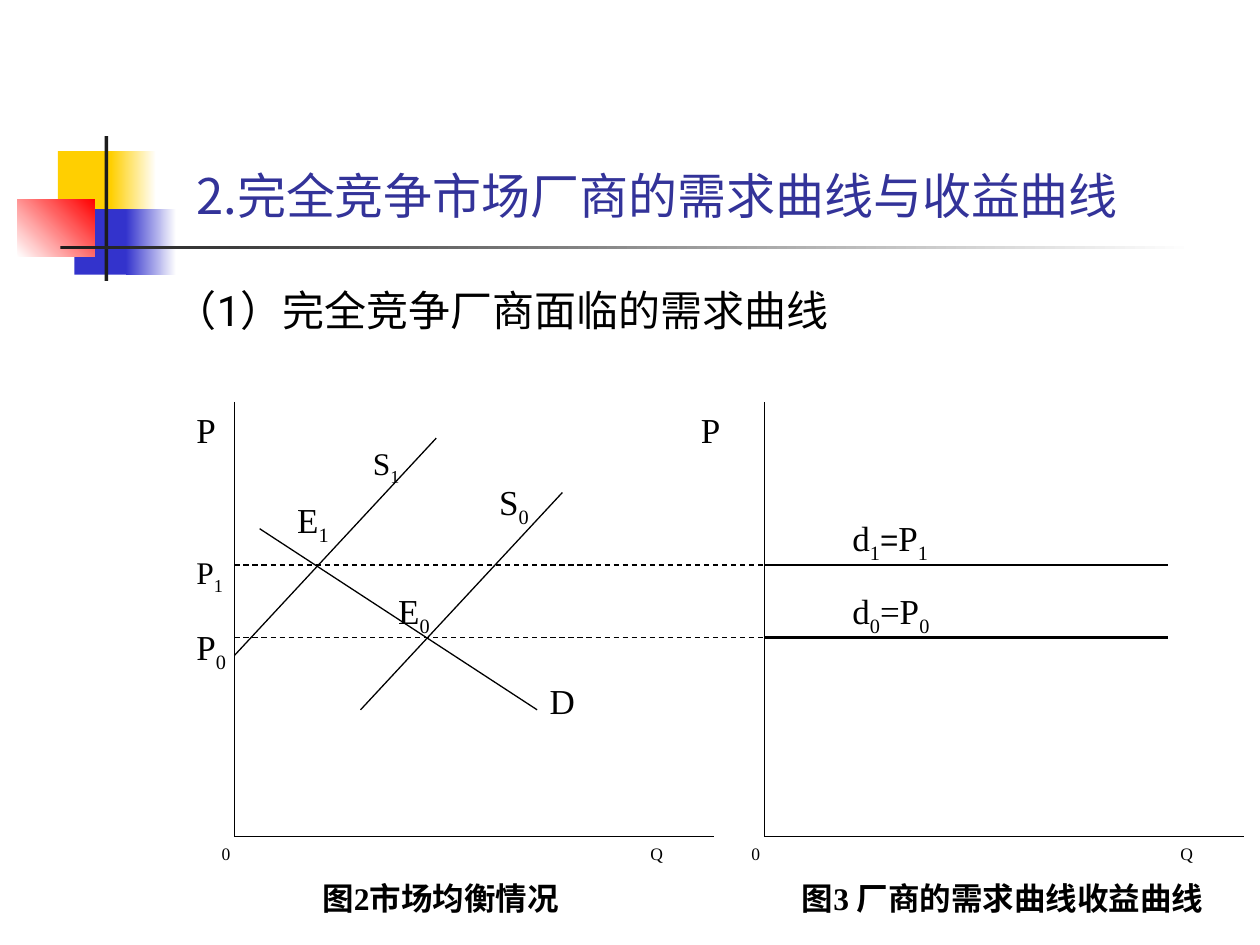
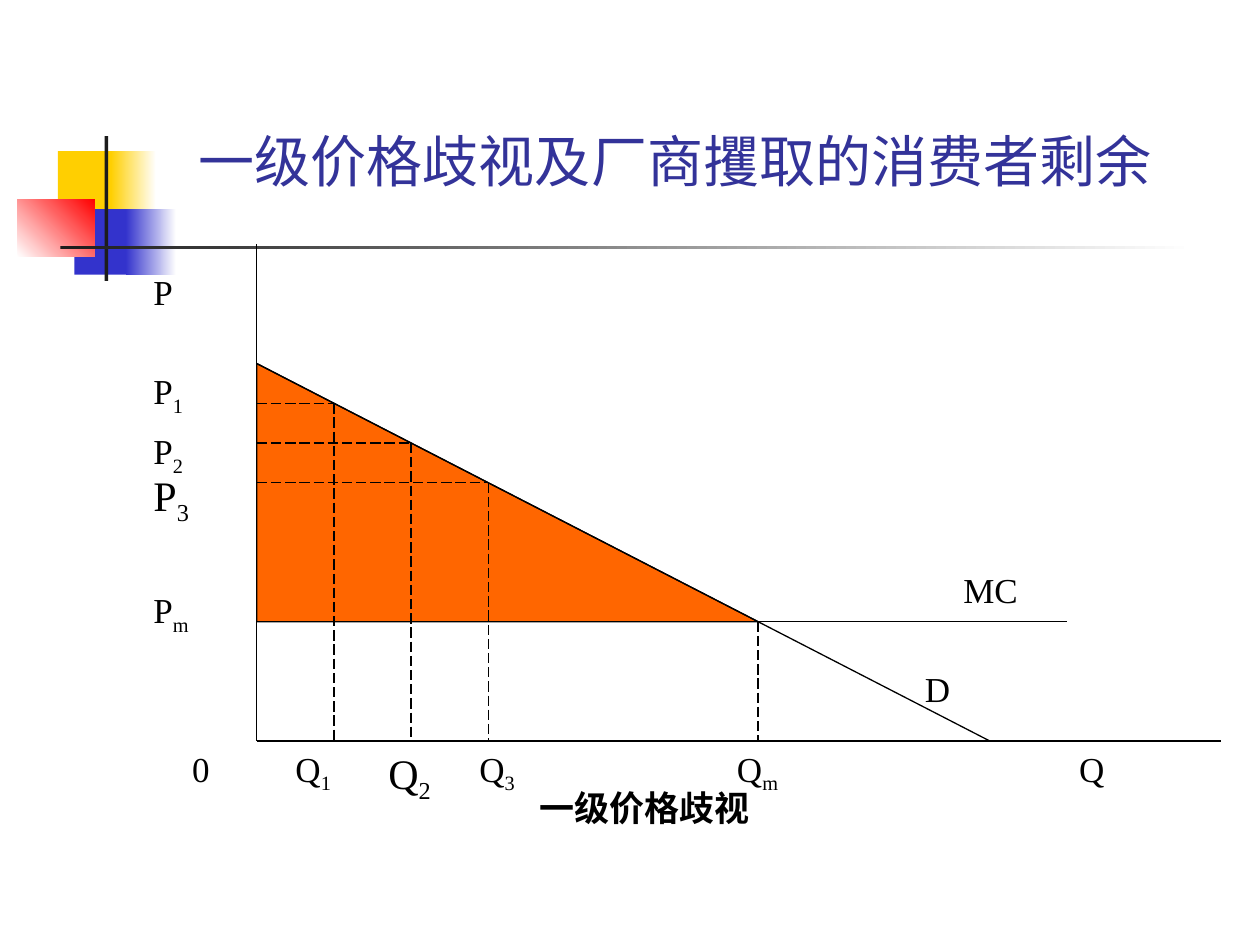
from collections import namedtuple

from lxml import etree
from pptx import Presentation
from pptx import util as u
from pptx.dml.color import RGBColor
from pptx.enum import dml, shapes, text
from pptx.oxml import ns

BLACK = RGBColor(0x00, 0x00, 0x00)
WHITE = RGBColor(0xFF, 0xFF, 0xFF)
YELLOW = RGBColor(0xFF, 0xCF, 0x01)
BLUE = RGBColor(0x33, 0x33, 0xCC)
RED = RGBColor(0xFF, 0x00, 0x00)
CHARCOAL = RGBColor(0x1C, 0x1C, 0x1C)
TITLE_BLUE = RGBColor(0x33, 0x33, 0x99)
ORANGE = RGBColor(0xFF, 0x66, 0x00)

SERIF, SANS, CJK = "Times New Roman", "Roboto", "Noto Sans CJK KR"
DASH, LONG_DASH = dml.MSO_LINE.DASH, dml.MSO_LINE.LONG_DASH

# Corner ornament: left, top, width, height, colours, gradient angle
ORNAMENT = [
    (0.46, 1.20, 0.48, 0.52, [YELLOW], 0),
    (0.88, 1.20, 0.36, 0.52, [YELLOW, WHITE], 0),
    (0.59, 1.66, 0.46, 0.52, [BLUE], 0),
    (1.00, 1.66, 0.40, 0.52, [BLUE, WHITE], 0),
    (0.14, 1.58, 0.61, 0.46, [WHITE, RED], 45),
    (0.83, 1.08, 0.03, 1.15, [CHARCOAL], 0),
    (0.48, 1.95, 9.00, 0.03, [CHARCOAL, WHITE], 0),
]

# A diagram grid: places in inches, then the number of columns and rows
Grid = namedtuple("Grid", "left top width height cols rows")

# Labels: text ("|" parts runs, "_" marks a subscript), column, row, size, columns wide
# Lines: from column, row, to column, row
MARKET = {
    "grid": Grid(1.46, 3.19, 8.41, 3.45, 42, 24),
    "axes and curves": [
        (2, 0, 2, 24), (2, 24, 21, 24), (23, 24, 42, 24), (23, 24, 23, 0),
        (3, 7, 14, 17), (7, 17, 15, 5), (2, 14, 10, 2),
    ],
    "price levels": [(2, 13, 39, 13), (2, 9, 38, 9)],
    "firm demand": [(23, 13, 39, 13), (23, 9, 39, 9)],
    "labels": [
        ("0", 1, 24, 10, 4), ("0", 22, 24, 10, 4),
        ("Q", 18, 24, 10, 4), ("Q", 39, 24, 10, 4),
        ("P", 20, 0, 20, 4), ("P", 0, 0, 20, 4),
        ("S|_0", 12, 4, 20, 4), ("S|_1", 7, 2, 18, 4),
        ("E|_1", 4, 5, 20, 4), ("E|_0", 8, 10, 20, 4),
        ("D", 14, 15, 20, 4),
        ("P|_0", 0, 12, 20, 4), ("P|_1", 0, 8, 18, 4),
        ("d|_0|=P|_0", 26, 10, 20, 11),
    ],
    "raised demand": ("d|_1|=|P|_1", 26, 6, 20, 11),
    "captions": [
        ("图2市场均衡情况", 5, 26, 18, 12),
        ("图3 厂商的需求曲线收益曲线", 24, 26, 18, 18),
    ],
}

DISCRIMINATION = {
    "grid": Grid(1.12, 1.94, 8.57, 3.94, 28, 25),
    "surplus": (3, 6, 16, 19),
    "axes and curves": [
        (3, 0, 3, 25), (3, 25, 28, 25), (3, 6, 22, 25), (3, 19, 24, 19),
    ],
    "sales": [(5, 8), (7, 10), (9, 12)],
    "last sale": (16, 19),
    "labels": [
        ("MC", 21, 16, 20, 4), ("Q", 24, 25, 20, 4), ("D", 20, 21, 20, 4),
        ("P", 0, 1, 20, 3), ("0", 1, 25, 20, 4),
        ("P|_1", 0, 6, 20, 3), ("P|_2", 0, 9, 20, 3),
        ("P|_3", 0, 11, 24, 3), ("P|_m", 0, 17, 20, 3),
        ("Q|_1", 3.68, 25, 20, 3), ("Q|_2", 6.09, 25, 24, 3),
        ("Q|_3", 8.45, 25, 20, 3), ("Q|_m", 15.13, 25, 20, 4),
    ],
    "captions": [("一级价格歧视", 10, 27, 20, 10)],
}


def place(grid, col, row):
    return (u.Inches(grid.left + col * grid.width / grid.cols),
            u.Inches(grid.top + row * grid.height / grid.rows))


def add_text(page, frame, words, size, font, color=BLACK, bold=False,
             anchor=text.MSO_ANCHOR.TOP, align=text.PP_ALIGN.LEFT):
    box = page.shapes.add_textbox(*frame)
    box.text_frame.word_wrap = True
    box.text_frame.vertical_anchor = anchor
    para = box.text_frame.paragraphs[0]
    para.alignment = align
    para.font.size, para.font.name = u.Pt(size), font
    para.font.bold, para.font.color.rgb = bold, color
    for part in words.split("|"):
        span = para.add_run()
        span.text = part.lstrip("_")
        props = span._r.get_or_add_rPr()
        if part.startswith("_"):
            props.set("baseline", "-25000")
        etree.SubElement(props, ns.qn("a:ea")).set("typeface", CJK)
    return para


def add_label(page, grid, label, bold=False):
    words, col, row, size, cols = label
    left, top = place(grid, col, row)
    frame = (left, top, u.Inches(cols * grid.width / grid.cols),
             u.Inches(3 * grid.height / grid.rows))
    return add_text(page, frame, words, size, SERIF, bold=bold,
                    align=text.PP_ALIGN.JUSTIFY)


def add_lines(page, grid, lines, width=0.75, dash=None):
    for x1, y1, x2, y2 in lines:
        line = page.shapes.add_connector(
            shapes.MSO_CONNECTOR.STRAIGHT, *place(grid, x1, y1), *place(grid, x2, y2))
        line.line.color.rgb = BLACK
        line.line.width = u.Pt(width)
        if dash:
            line.line.dash_style = dash
        etree.SubElement(line._element.spPr, ns.qn("a:effectLst"))


def add_labels(page, diagram):
    for label in diagram["labels"]:
        add_label(page, diagram["grid"], label)
    for caption in diagram["captions"]:
        add_label(page, diagram["grid"], caption, bold=True)


def add_page(deck, title, frame, size, font):
    """Blank page with the corner ornament and the title."""
    page = deck.slides.add_slide(deck.slide_layouts[6])
    for *area, colors, angle in ORNAMENT:
        block = page.shapes.add_shape(shapes.MSO_SHAPE.RECTANGLE, *map(u.Inches, area))
        block.shadow.inherit = False
        block.line.fill.background()
        if len(colors) == 1:
            block.fill.solid()
            block.fill.fore_color.rgb = colors[0]
            continue
        block.fill.gradient()
        block.fill.gradient_angle = angle
        for stop, color in zip(block.fill.gradient_stops, colors):
            stop.color.rgb = color
    add_text(page, map(u.Inches, frame), title, size, font, TITLE_BLUE,
             anchor=text.MSO_ANCHOR.BOTTOM)
    return page


def build_market(deck):
    page = add_page(deck, "2.完全竞争市场厂商的需求曲线与收益曲线",
                    (1.46, 1.07, 8.31, 0.76), 28, CJK)
    add_text(page, map(u.Inches, (1.29, 2.21, 8.5, 0.91)),
             "（1）完全竞争厂商面临的需求曲线", 24, SANS)
    grid = MARKET["grid"]
    add_lines(page, grid, MARKET["axes and curves"])
    add_lines(page, grid, MARKET["price levels"], dash=DASH)
    add_lines(page, grid, MARKET["firm demand"], width=1.5)
    add_labels(page, MARKET)
    equals = add_label(page, grid, MARKET["raised demand"]).runs[2]
    equals.font.name, equals.font.size = "Arial", u.Pt(18)


def build_discrimination(deck):
    page = add_page(deck, "一级价格歧视及厂商攫取的消费者剩余",
                    (1.48, 0.91, 8.52, 0.68), 32, SANS)
    grid = DISCRIMINATION["grid"]
    # Captured surplus
    x1, y1, x2, y2 = DISCRIMINATION["surplus"]
    left, top = place(grid, x1, y1)
    right, bottom = place(grid, x2, y2)
    surplus = page.shapes.add_shape(shapes.MSO_SHAPE.RIGHT_TRIANGLE,
                                    left, top, right - left, bottom - top)
    surplus.shadow.inherit = False
    surplus.fill.solid()
    surplus.fill.fore_color.rgb = ORANGE
    surplus.line.color.rgb = BLACK
    surplus.line.width = u.Pt(0.75)
    # Axes, curves and the guides from each sale to both axes
    add_lines(page, grid, DISCRIMINATION["axes and curves"])
    sales = DISCRIMINATION["sales"]
    guides = [(3, row, col, row) for col, row in sales]
    guides += [(col, row, col, 25) for col, row in sales + [DISCRIMINATION["last sale"]]]
    add_lines(page, grid, guides, dash=LONG_DASH)
    add_labels(page, DISCRIMINATION)


def main():
    deck = Presentation()
    deck.slide_width, deck.slide_height = u.Inches(10), u.Inches(7.5)
    build_market(deck)
    build_discrimination(deck)
    deck.save("out.pptx")


if __name__ == "__main__":
    main()
